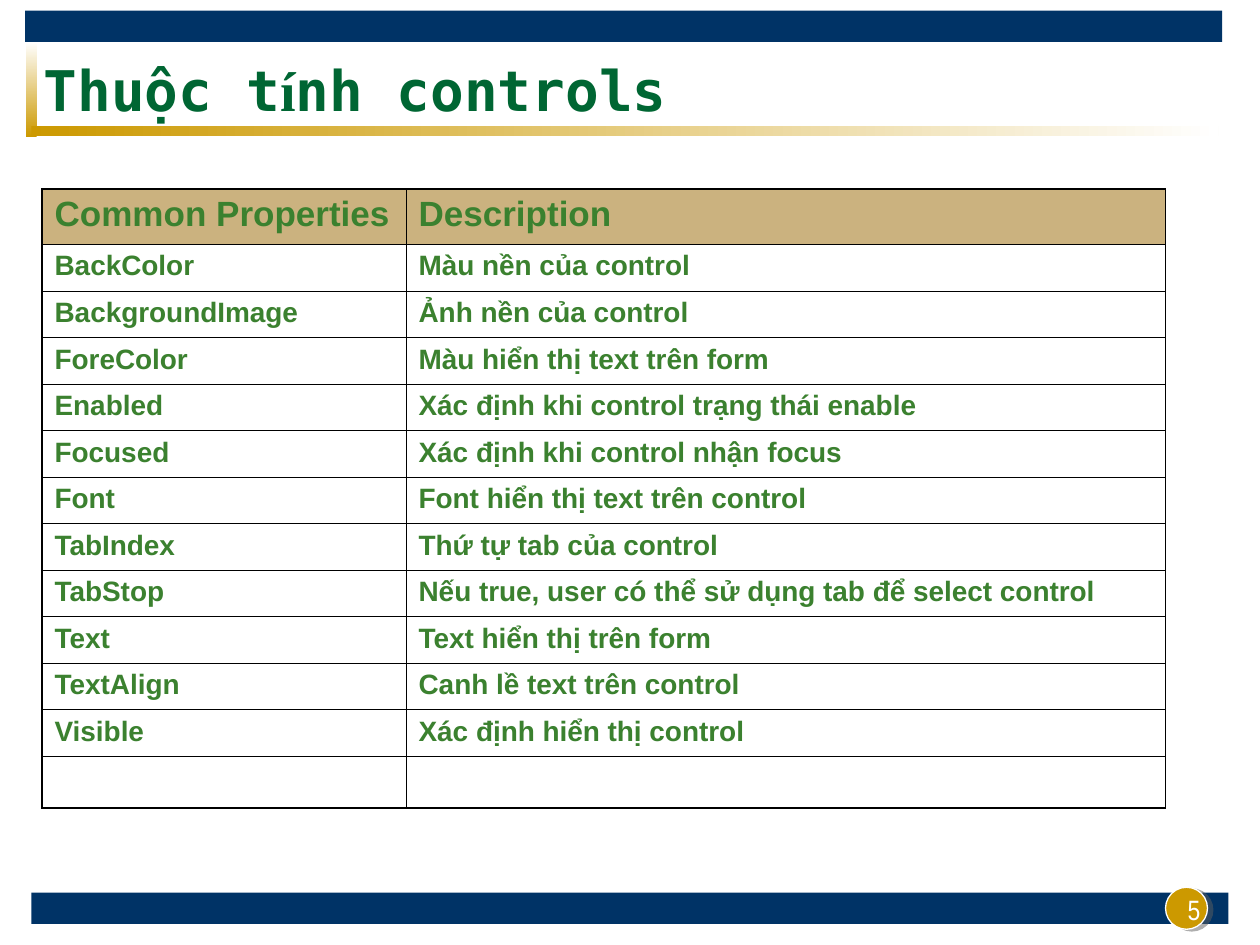
from lxml import etree
from pptx import Presentation
from pptx.dml.color import RGBColor
from pptx.enum.shapes import MSO_SHAPE
from pptx.enum.text import MSO_ANCHOR, PP_ALIGN
from pptx.oxml.ns import qn
from pptx.util import Pt

RECTANGLE, OVAL = MSO_SHAPE.RECTANGLE, MSO_SHAPE.OVAL
MIDDLE, BOTTOM = MSO_ANCHOR.MIDDLE, MSO_ANCHOR.BOTTOM
LEFT, RIGHT = PP_ALIGN.LEFT, PP_ALIGN.RIGHT

COLORS = {
    "navy": "003366", "gold": "CC9900", "white": "FFFFFF", "title": "006633",
    "text": "3B812F", "header": "996600", "border": "000000", "shadow": "5F5F5F",
}
THIN, THICK = 0.45, 1.08
HEADER_HEIGHT, ROW_HEIGHT, LAST_HEIGHT = 31.7, 26.6, 29.4
COLUMN_SHARES = (0.324, 0.676)
ROWS = [
    ("Common Properties", "Description"),
    ("BackColor", "Màu nền của control"),
    ("BackgroundImage", "Ảnh nền của control"),
    ("ForeColor", "Màu hiển thị text trên form"),
    ("Enabled", "Xác định khi control trạng thái enable"),
    ("Focused", "Xác định khi control nhận focus"),
    ("Font", "Font hiển thị text trên control"),
    ("TabIndex", "Thứ tự tab của control"),
    ("TabStop", "Nếu true, user có thể sử dụng tab để select control"),
    ("Text", "Text hiển thị trên form"),
    ("TextAlign", "Canh lề text trên control"),
    ("Visible", "Xác định hiển thị control"),
    ("", ""),
]


def rgb(name):
    """Return the named colour."""
    return RGBColor.from_string(COLORS[name])


def add_element(parent, tag, **attributes):
    """Append a drawing element with its attributes."""
    return etree.SubElement(parent, qn(tag), {key: str(value) for key, value in attributes.items()})


def write(para, text, *, font="Arial", size=16, color="text", bold=False, align=LEFT, before=0):
    """Add a formatted span of text to a paragraph."""
    para.alignment = align
    para.space_before = Pt(before)
    span = para.add_run()
    span.text = text
    span.font.name, span.font.size, span.font.bold = font, Pt(size), bold
    span.font.color.rgb = rgb(color)


def add_text_box(page, box, anchor):
    """Add a wrapping text box and return its first paragraph."""
    frame = page.shapes.add_textbox(*map(Pt, box)).text_frame
    frame.word_wrap = True
    frame.vertical_anchor = anchor
    return frame.paragraphs[0]


def add_block(page, kind, box, *colors, angle=0):
    """Add an unlined shape with a solid or two-colour gradient fill."""
    block = page.shapes.add_shape(kind, *map(Pt, box))
    block.shadow.inherit = False
    block.line.fill.background()
    if len(colors) == 1:
        block.fill.solid()
        block.fill.fore_color.rgb = rgb(colors[0])
    else:
        block.fill.gradient()
        block.fill.gradient_angle = angle
        for position, (stop, color) in enumerate(zip(block.fill.gradient_stops, colors)):
            stop.position = position
            stop.color.rgb = rgb(color)
    return block


def add_title(page, box):
    """Draw the top bar, the gold rules and the title."""
    left, top, width, height = box
    add_block(page, RECTANGLE, (left, top, width, 18), "navy")
    add_block(page, RECTANGLE, (left + 0.5, top + 18, 6, height - 18), "white", "gold", angle=270)
    add_block(page, RECTANGLE, (left + 3.6, top + height - 6, width - 5.6, 6), "gold", "white")
    para = add_text_box(page, (left + 3.6, top + 24, 648, 42), MIDDLE)
    mono, serif = "DejaVu Sans Mono", "Times New Roman"
    for text, font in (("Thuộc t", mono), ("í", serif), ("nh controls", mono)):
        write(para, text, font=font, size=32, color="title", bold=True)


def add_footer(page, box, number):
    """Draw the bottom bar with the page number badge."""
    left, top, width, height = box
    add_block(page, RECTANGLE, box, "navy")
    badge = add_block(page, OVAL, (left + width - 36, top - 3, 24, 24), "gold")
    badge.line.color.rgb = rgb("white")
    badge.line.width = Pt(0.75)
    effects = badge.element.spPr.find(qn("a:effectLst"))
    shadow = add_element(effects, "a:outerShdw", dist=Pt(3.2), dir=18 * 60000, algn="ctr", rotWithShape=0)
    color = add_element(shadow, "a:srgbClr", val=COLORS["shadow"])
    add_element(color, "a:alpha", val=50000)
    para = add_text_box(page, (left + width - 177, top - 13, 168, 36), BOTTOM)
    write(para, number, font="Arial Narrow", color="white", align=RIGHT)


def set_borders(cell, widths):
    """Draw the left, right, top and bottom borders of a cell."""
    properties = cell._tc.get_or_add_tcPr()
    for tag, width in zip(("a:lnL", "a:lnR", "a:lnT", "a:lnB"), widths):
        line = add_element(properties, tag, w=Pt(width))
        add_element(add_element(line, "a:solidFill"), "a:srgbClr", val=COLORS["border"])


def fill_cell(cell, color=None):
    """Give a cell a half-transparent fill, or none."""
    if color is None:
        cell.fill.background()
        return
    cell.fill.solid()
    cell.fill.fore_color.rgb = rgb(color)
    add_element(cell._tc.tcPr.find(".//" + qn("a:solidFill") + "[last()]/" + qn("a:srgbClr"))
                if cell._tc.tcPr.find(qn("a:solidFill")) is None
                else cell._tc.tcPr.find(qn("a:solidFill"))[0], "a:alpha", val=50000)


def add_properties_table(page, box):
    """Draw the table of control properties."""
    last = len(ROWS) - 1
    heights = [HEADER_HEIGHT] + [ROW_HEIGHT] * (last - 1) + [LAST_HEIGHT]
    table = page.shapes.add_table(len(ROWS), 2, *map(Pt, box)).table
    table.first_row = table.horz_banding = False
    for column, share in zip(table.columns, COLUMN_SHARES):
        column.width = Pt(box[2] * share)
    for index, (texts, height) in enumerate(zip(ROWS, heights)):
        table.rows[index].height = Pt(height)
        header = index == 0
        for side, text in enumerate(texts):
            cell = table.cell(index, side)
            outer = (side == 0, side == 1, header, index == last)
            set_borders(cell, [THICK if edge else THIN for edge in outer])
            fill_cell(cell, "header" if header else None)
            if text:
                write(cell.text_frame.paragraphs[0], text, size=20 if header else 16,
                      bold=True, before=5 if header else 4)


def main():
    """Build and save the deck."""
    deck = Presentation()
    deck.slide_width, deck.slide_height = Pt(720), Pt(540)
    page = deck.slides.add_slide(deck.slide_layouts[6])
    add_footer(page, (18, 510, 684, 18), "5")
    add_title(page, (14.4, 6, 684, 72))
    add_properties_table(page, (24, 108, 642, 353.7))
    deck.save("out.pptx")


if __name__ == "__main__":
    main()
